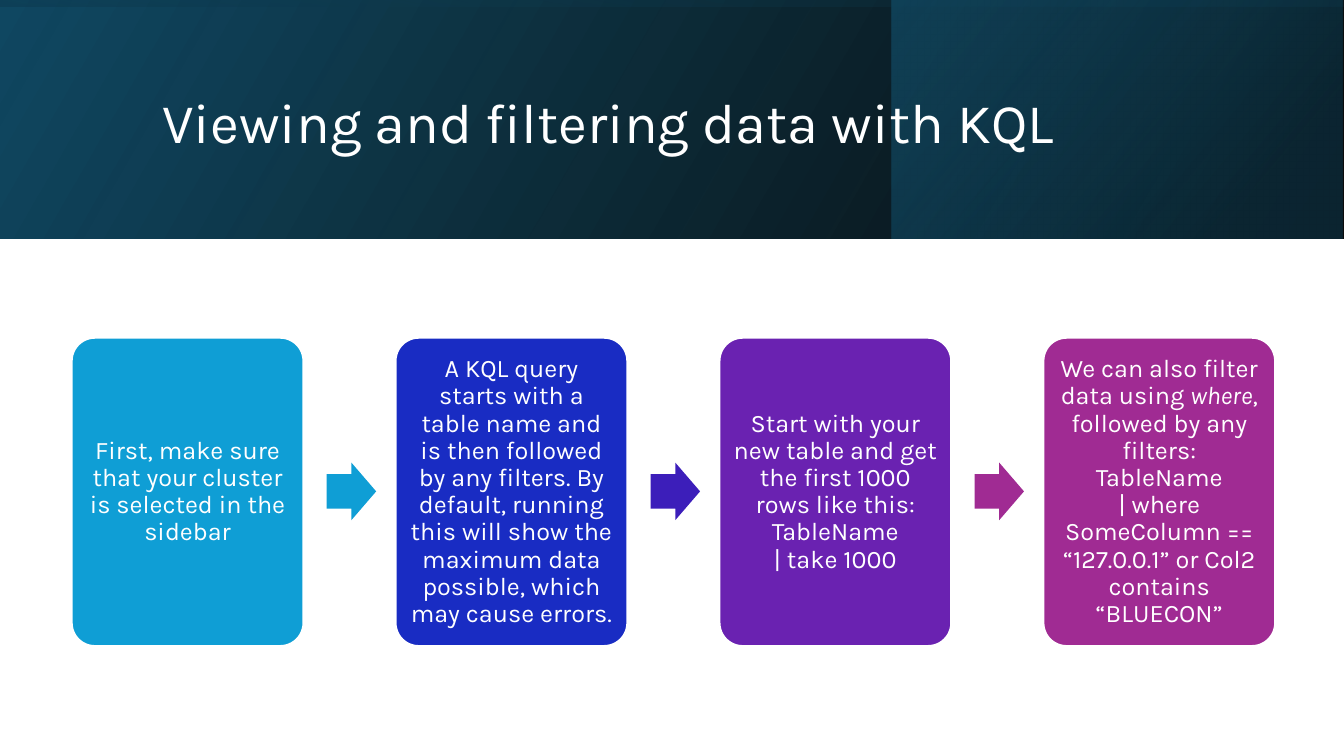
from dataclasses import dataclass
from typing import NamedTuple

from lxml.etree import SubElement
from pptx import Presentation
from pptx.dml.color import RGBColor
from pptx.enum.shapes import MSO_SHAPE as SHAPE
from pptx.enum.text import MSO_ANCHOR as ANCHOR, PP_ALIGN as ALIGN
from pptx.oxml.ns import qn
from pptx.util import Inches, Pt

WIDTH, HEIGHT = Inches(13.33), Inches(7.5)
FONT = "Karla"
WHITE = "FFFFFF"
STEP_LEFT, STEP_PITCH = 5.33, 24.1
ARROW_OFFSET = 18.98


class Area(NamedTuple):
    """Left, top, width and height in percent of the slide."""

    left: float
    top: float
    width: float
    height: float

    def emu(self) -> tuple[int, int, int, int]:
        return (int(WIDTH * self.left / 100), int(HEIGHT * self.top / 100),
                int(WIDTH * self.width / 100), int(HEIGHT * self.height / 100))


class Stop(NamedTuple):
    percent: int
    color: str
    opacity: int = 100


@dataclass
class Panel:
    area: Area
    stops: tuple[Stop, Stop]
    angle: int
    rotation: int = 0


@dataclass
class Step:
    color: str
    text: str
    arrow: str = ""


PANELS = [
    Panel(Area(0, 0, 100, 31.6),
          (Stop(0, "000000", 96), Stop(100, "104862")), 30),
    Panel(Area(66.32, 0, 33.6, 31.6),
          (Stop(19, "0B3041", 68), Stop(100, "156082", 48)), 40),
    Panel(Area(41.11, -73.07, 17.78, 177.73),
          (Stop(23, "104862", 16), Stop(99, "000000", 45)), 10, 270),
]

STEPS = [
    Step("0F9ED5", "First, make sure that your cluster is selected in the sidebar",
         "0F9ED5"),
    Step("192CC3", "A KQL query starts with a table name and is then followed by "
         "any filters. By default, running this will show the maximum data "
         "possible, which may cause errors.", "3C1EBA"),
    Step("6A22B1", "Start with your new table and get the first 1000 rows like "
         "this:\nTableName\n| take 1000", "A02B93"),
    Step("A02B93", "We can also filter data using *where*, followed by any filters:\n"
         "TableName\n| where SomeColumn == “127.0.0.1” or Col2 contains “BLUECON”"),
]


def rgb(color: str) -> RGBColor:
    return RGBColor.from_string(color)


def write(tf, text: str, *, size: int, align=ALIGN.LEFT, color: str = WHITE,
          inset: float = 0.1) -> None:
    tf.word_wrap = True
    tf.vertical_anchor = ANCHOR.MIDDLE
    tf.margin_left = tf.margin_right = Inches(inset)
    tf.margin_top = tf.margin_bottom = Inches(min(inset, 0.07))
    p = tf.paragraphs[0]
    p.alignment = align
    p.line_spacing = 0.9
    for i, part in enumerate(text.split("*")):
        for j, line in enumerate(part.split("\n")):
            if j:
                p.add_line_break()
            r = p.add_run()
            r.text = line
            r.font.name = FONT
            r.font.size = Pt(size)
            r.font.italic = i % 2 == 1
            r.font.color.rgb = rgb(color)


def add_shape(s, kind, area: Area, fill: str = "", adjustments: tuple = ()):
    sp = s.shapes.add_shape(kind, *area.emu())
    sp.shadow.inherit = False
    sp.line.fill.background()
    for i, value in enumerate(adjustments):
        sp.adjustments[i] = value
    if fill:
        sp.fill.solid()
        sp.fill.fore_color.rgb = rgb(fill)
    return sp


def add_panel(s, panel: Panel) -> None:
    sp = add_shape(s, SHAPE.RECTANGLE, panel.area)
    sp.rotation = panel.rotation
    sp.element.spPr.find(qn("a:xfrm")).set("flipH", "1")
    sp.fill.gradient()
    sp.fill.gradient_angle = panel.angle
    for gs, stop in zip(sp.fill.gradient_stops, panel.stops):
        gs.position = stop.percent / 100
        gs.color.rgb = rgb(stop.color)
    for clr, stop in zip(sp.element.spPr.iter(qn("a:srgbClr")), panel.stops):
        SubElement(clr, qn("a:alpha")).set("val", str(stop.opacity * 1000))


def add_title(s, text: str) -> None:
    title = s.shapes.title
    title.left, title.top, title.width, title.height = Area(
        11.33, 5.07, 79.74, 22.93).emu()
    write(title.text_frame, text, size=40)
    title.element.getparent().append(title.element)


def add_step(s, index: int, step: Step) -> None:
    left = STEP_LEFT + index * STEP_PITCH
    sp = add_shape(s, SHAPE.ROUNDED_RECTANGLE, Area(left, 44.67, 17.25, 40.8),
                   step.color, (0.1,))
    sp.line.color.rgb = rgb(WHITE)
    sp.line.width = Pt(1.5)
    write(sp.text_frame, step.text, size=18, align=ALIGN.CENTER, inset=0.07)
    if step.arrow:
        add_shape(s, SHAPE.RIGHT_ARROW, Area(left + ARROW_OFFSET, 61.2, 3.68, 7.6),
                  step.arrow, (0.6, 0.5))


def main() -> None:
    prs = Presentation()
    prs.slide_width, prs.slide_height = WIDTH, HEIGHT
    s = prs.slides.add_slide(prs.slide_layouts[5])
    for panel in PANELS:
        add_panel(s, panel)
    add_title(s, "Viewing and filtering data with KQL")
    for index, step in enumerate(STEPS):
        add_step(s, index, step)
    prs.save("out.pptx")


if __name__ == "__main__":
    main()
